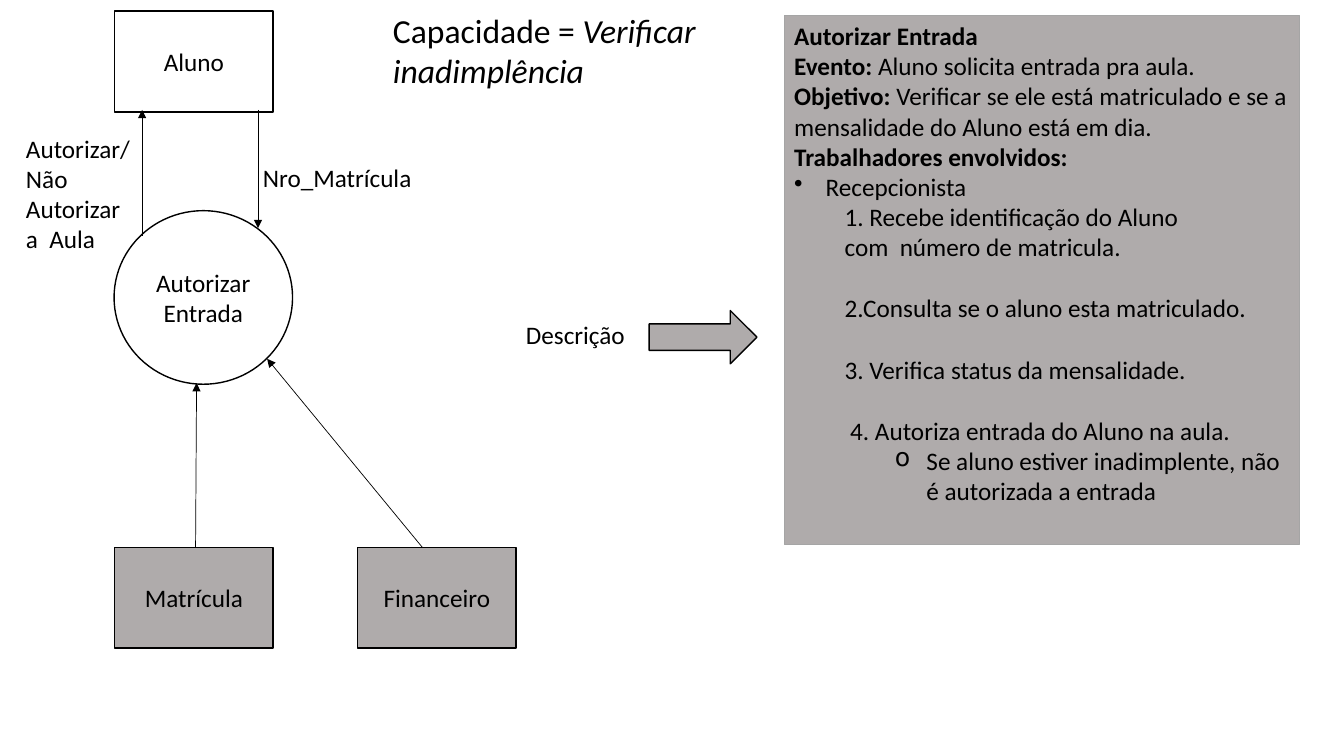
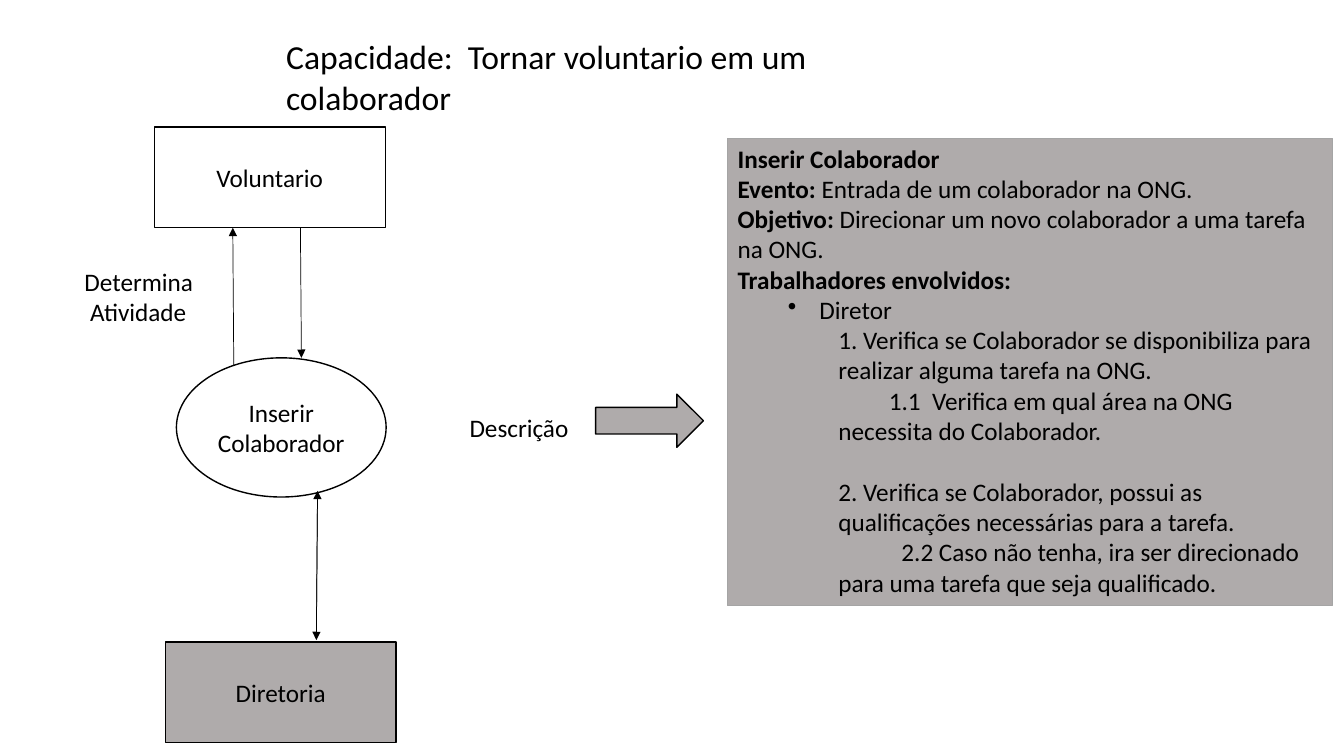
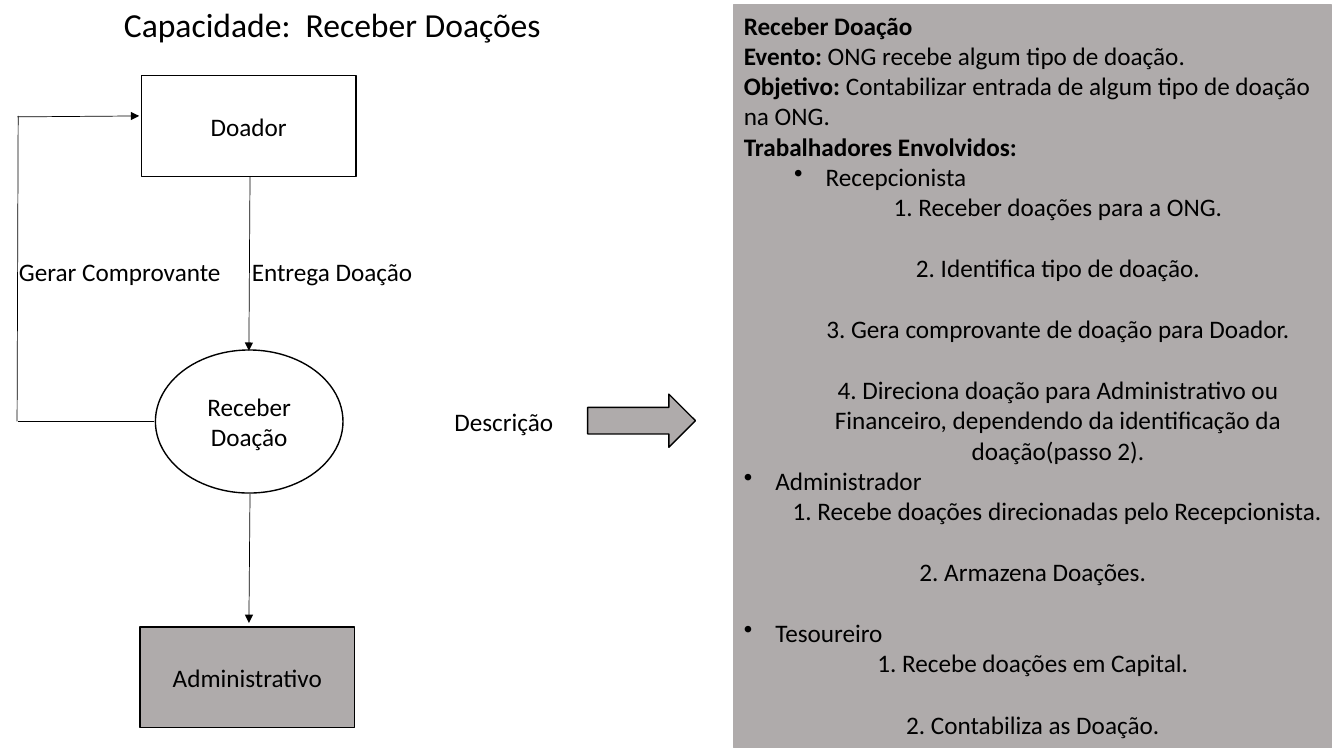
from lxml import etree
from pptx import Presentation
from pptx.dml.color import RGBColor
from pptx.enum.shapes import MSO_CONNECTOR, MSO_SHAPE
from pptx.enum.text import MSO_ANCHOR, PP_ALIGN
from pptx.oxml.ns import qn
from pptx.util import Pt

RECT, OVAL, ARROW = MSO_SHAPE.RECTANGLE, MSO_SHAPE.OVAL, MSO_SHAPE.RIGHT_ARROW
LINE = MSO_CONNECTOR.STRAIGHT
TOP, MID = MSO_ANCHOR.TOP, MSO_ANCHOR.MIDDLE
LEFT, MIDDLE, RIGHT = PP_ALIGN.LEFT, PP_ALIGN.CENTER, PP_ALIGN.RIGHT

COLORS = {"ink": "000000", "paper": "FFFFFF", "gray": "AFABAB", "edge": "A5A5A5"}
FONT, BODY, HEAD = "Calibri", 18, 24
GAP = 22          # one empty line of body text
BOX_H = 72
ARROW_W, ARROW_H = 77, 38
LABEL_W, LABEL_H = 216, 29

# Paragraph styles: level, left margin, first-line indent, bullet, alignment
STYLES = {
    "head": (0, 0, 0, None, LEFT),
    "role": (0, 22.5, -22.5, "•", LEFT),
    "inrole": (1, 58.5, -22.5, "•", LEFT),
    "step": (1, 36, 0, None, LEFT),
    "nudge": (1, 36, 4, None, LEFT),
    "note": (2, 94.5, -22.5, "o", LEFT),
    "deep": (2, 72, 0, None, LEFT),
    "sub": (2, 72, 36, None, LEFT),
    "subfar": (2, 72, 45, None, LEFT),
    "midstep": (1, 36, 0, None, MIDDLE),
    "mid": (0, 0, 0, None, MIDDLE),
    "end": (0, 0, 0, None, RIGHT),
}

# Panel lines: style, bold text, plain text, and GAP where space comes before
SLIDES = [
    {
        "title": ((273.6, 3.6, 359, 65.5), "Capacidade = ", "Verificar inadimplência"),
        "boxes": [("Aluno", 82, 8, 113, "paper"),
                  ("Matrícula", 82, 391, 113, "gray"),
                  ("Financeiro", 255.6, 391, 113, "gray")],
        "oval": ((81.5, 150.5, 127.5, 124), ["Autorizar", "Entrada"]),
        "lines": [(184.3, 78.5, 184.3, 163, True),
                  (139.7, 391, 140.4, 273.6, True),
                  (301.7, 391, 190.8, 256.3, True),
                  (101.5, 168.5, 101.5, 78.5, True)],
        "labels": [((180.7, 112.3, LABEL_W, LABEL_H), [("Nro_Matrícula", 0)]),
                   ((11.5, 91.5, 93.6, 94.3),
                    [("Autorizar/ Não Autorizar a  Aula", 0)])],
        "descr": (368.6, 224.6),
        "arrow": (463.7, 221.8),
        "panel": ((560.2, 10.8, 368, 378), "edge", 0.5, [
            ("head", "Autorizar Entrada", ""),
            ("head", "Evento: ", "Aluno solicita entrada pra aula."),
            ("head", "Objetivo: ", "Verificar se ele está matriculado e se a "
             "mensalidade do Aluno está em dia."),
            ("head", "Trabalhadores envolvidos:", ""),
            ("role", "", "Recepcionista"),
            ("step", "", "1. Recebe identificação do Aluno "
             "com\u00a0\u00a0número de matricula."),
            ("step", "", "2.Consulta se o aluno esta matriculado.", GAP),
            ("step", "", "3. Verifica status da mensalidade.", GAP),
            ("nudge", "", "4. Autoriza entrada do Aluno na aula.", GAP),
            ("note", "", "Se aluno estiver inadimplente, não é autorizada a entrada"),
        ]),
    },
    {
        "title": ((197.3, 22.3, 391, 65.5),
                  "Capacidade:\u00a0 Tornar voluntario em um colaborador", ""),
        "boxes": [("Voluntario", 110.2, 90.7, 165, "paper"),
                  ("Diretoria", 118, 458.6, 165, "gray")],
        "oval": ((126, 255.6, 149.8, 99.4), ["Inserir", "Colaborador"]),
        "lines": [(214.6, 162.7, 215.3, 255.6, True),
                  (226.8, 352, 226, 457.2, True),
                  (226, 455.8, 226.8, 350.6, True),
                  (167, 261.4, 166.3, 162.7, True)],
        "labels": [((53.3, 186.5, LABEL_W, 51), [("Determina", 0), ("Atividade", 4)])],
        "descr": (328.3, 290.9),
        "arrow": (425.5, 281.5),
        "panel": ((519.8, 98.6, 432, 334), "edge", 0.5, [
            ("head", "Inserir Colaborador", ""),
            ("head", "Evento:", "\u00a0Entrada de um colaborador na ONG."),
            ("head", "Objetivo: ", "Direcionar um\u00a0novo colaborador a uma "
             "tarefa na ONG."),
            ("head", "Trabalhadores envolvidos:", ""),
            ("inrole", "", "Diretor"),
            ("deep", "", "1. Verifica se Colaborador se disponibiliza para "
             "realizar alguma tarefa na ONG."),
            ("sub", "", "1.1\u00a0 Verifica em qual área na ONG "
             "necessita\u00a0do Colaborador."),
            ("deep", "", "2. Verifica se Colaborador, possui as qualificações "
             "necessárias para a tarefa.", GAP),
            ("subfar", "", "2.2 Caso não tenha, ira ser direcionado para uma "
             "tarefa que seja qualificado."),
        ]),
    },
    {
        "title": ((81.4, -0.7, 391, 36), "Capacidade:\u00a0 Receber Doações", ""),
        "boxes": [("Doador", 101, 54, 153.4, "paper"),
                  ("Administrativo", 100, 447.8, 153.4, "gray")],
        "oval": ((111, 250, 134, 102.2), ["Receber", "Doação"]),
        "lines": [(178.6, 126, 177.8, 250.6, True),
                  (178.6, 352.8, 177.8, 445, True),
                  (12.2, 83.5, 99.4, 82.8, True),
                  (13, 82.8, 12.2, 301, False),
                  (13, 301, 110.2, 301, False)],
        "labels": [((172.8, 179.3, LABEL_W, LABEL_H), [("Entrega Doação", 0)]),
                   ((6.5, 179.3, LABEL_W, LABEL_H), [("Gerar Comprovante", 0)])],
        "descr": (317.5, 286.6),
        "arrow": (419.8, 281.5),
        "panel": ((524.2, 3.6, 427, 530.6), "gray", 0.75, [
            ("head", "Receber Doação", ""),
            ("head", "Evento: ", "ONG recebe algum tipo de doação."),
            ("head", "Objetivo: ", "Contabilizar entrada de algum tipo de "
             "doação na ONG."),
            ("head", "Trabalhadores Envolvidos:", ""),
            ("inrole", "", "Recepcionista"),
            ("midstep", "", "1. Receber doações para a ONG."),
            ("midstep", "", "2. Identifica tipo de doação.", GAP),
            ("midstep", "", "3. Gera comprovante de doação para Doador.", GAP),
            ("midstep", "", "4. Direciona doação para Administrativo ou Financeiro, "
             "dependendo da identificação da doação(passo 2).", GAP),
            ("role", "", "Administrador"),
            ("end", "", "1. Recebe doações direcionadas pelo Recepcionista."),
            ("mid", "", "2. Armazena Doações.", GAP),
            ("role", "", "Tesoureiro", GAP),
            ("mid", "", "1. Recebe doações em Capital."),
            ("mid", "", "2. Contabiliza as Doação.", GAP),
        ]),
    },
]


def color(name):
    return RGBColor.from_string(COLORS[name])


def points(nums):
    return [Pt(n) for n in nums]


def add_run(para, text, size=BODY, bold=False, slant=False):
    if text:
        run = para.add_run()
        run.text = text
        font = run.font
        font.name, font.size = FONT, Pt(size)
        font.bold, font.italic = bold, slant
        font.color.rgb = color("ink")


def next_para(frame, index):
    return frame.add_paragraph() if index else frame.paragraphs[0]


def indent(para, margin, first):
    props = para._p.get_or_add_pPr()
    props.set("marL", str(int(Pt(margin))))
    props.set("indent", str(int(Pt(first))))
    return props


def add_form(slide, kind, area, fill, line="ink", width=1, anchor=MID):
    form = slide.shapes.add_shape(kind, *points(area))
    form.shadow.inherit = False
    form.fill.solid()
    form.fill.fore_color.rgb = color(fill)
    form.line.color.rgb = color(line)
    form.line.width = Pt(width)
    form.text_frame.word_wrap = True
    form.text_frame.vertical_anchor = anchor
    return form.text_frame


def add_node(slide, kind, area, fill, rows):
    frame = add_form(slide, kind, area, fill)
    for i, row in enumerate(rows):
        para = next_para(frame, i)
        para.alignment = MIDDLE
        add_run(para, row)


def add_frame(slide, area):
    frame = slide.shapes.add_textbox(*points(area)).text_frame
    frame.word_wrap = True
    return frame


def add_label(slide, area, rows):
    frame = add_frame(slide, area)
    for i, (text, first) in enumerate(rows):
        para = next_para(frame, i)
        if first:
            indent(para, 0, first)
        add_run(para, text)


def add_title(slide, area, plain, slant):
    para = add_frame(slide, area).paragraphs[0]
    add_run(para, plain, HEAD)
    add_run(para, slant, HEAD, slant=True)


def add_line(slide, x1, y1, x2, y2, head):
    link = slide.shapes.add_connector(LINE, *points((x1, y1, x2, y2)))
    link.line.color.rgb = color("ink")
    link.line.width = Pt(0.5)
    props = link._element.spPr
    if head:
        etree.SubElement(props.find(qn("a:ln")), qn("a:tailEnd"), type="triangle")
    etree.SubElement(props, qn("a:effectLst"))


def add_panel(slide, area, line, width, rows):
    frame = add_form(slide, RECT, area, "gray", line, width, TOP)
    for i, (style, bold, plain, *gap) in enumerate(rows):
        level, margin, first, bullet, align = STYLES[style]
        para = next_para(frame, i)
        para.level, para.alignment = level, align
        if gap:
            para.space_before = Pt(gap[0])
        props = indent(para, margin, first)
        if bullet:
            etree.SubElement(props, qn("a:buChar"), char=bullet)
        add_run(para, bold, bold=True)
        add_run(para, plain)


deck = Presentation()
deck.slide_width, deck.slide_height = Pt(960), Pt(540)
blank = deck.slide_layouts[6]

for data in SLIDES:
    slide = deck.slides.add_slide(blank)
    # Flow diagram
    for name, x, y, wide, fill in data["boxes"]:
        add_node(slide, RECT, (x, y, wide, BOX_H), fill, [name])
    area, rows = data["oval"]
    add_node(slide, OVAL, area, "paper", rows)
    for ends in data["lines"]:
        add_line(slide, *ends)
    for area, rows in data["labels"]:
        add_label(slide, area, rows)
    # Title and description panel
    add_title(slide, *data["title"])
    add_panel(slide, *data["panel"])
    add_form(slide, ARROW, (*data["arrow"], ARROW_W, ARROW_H), "gray")
    add_label(slide, (*data["descr"], LABEL_W, LABEL_H), [("Descrição", 0)])

deck.save("out.pptx")
